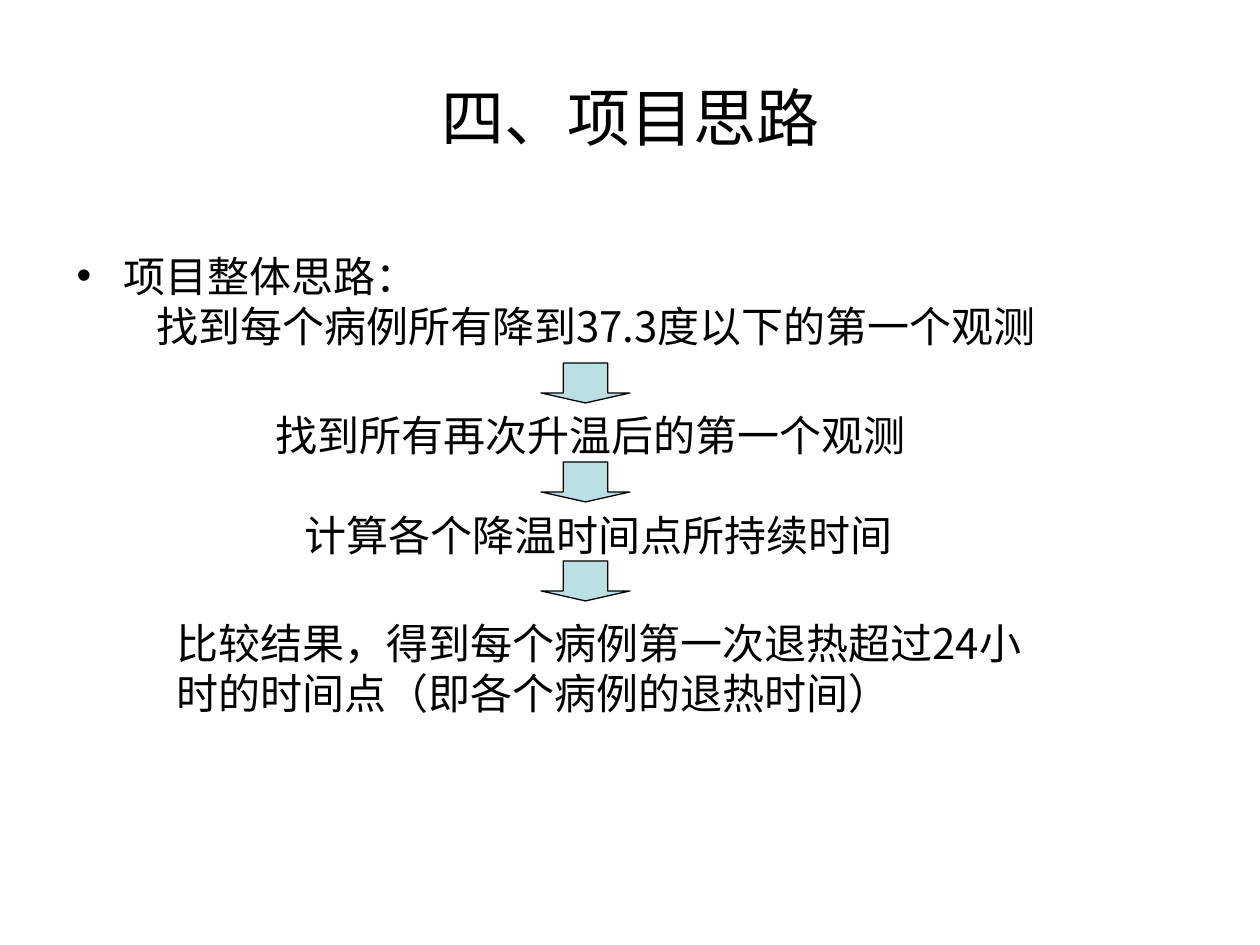
from pptx import Presentation
from pptx.dml.color import RGBColor
from pptx.enum.shapes import MSO_SHAPE
from pptx.enum.text import MSO_ANCHOR, MSO_AUTO_SIZE, PP_ALIGN
from pptx.oxml.ns import qn
from pptx.util import Pt
from lxml import etree

DOWN_ARROW = MSO_SHAPE.DOWN_ARROW
TOP, MIDDLE = MSO_ANCHOR.TOP, MSO_ANCHOR.MIDDLE
LEFT, CENTER = PP_ALIGN.LEFT, PP_ALIGN.CENTER
NO_FIT, GROW = MSO_AUTO_SIZE.NONE, MSO_AUTO_SIZE.SHAPE_TO_FIT_TEXT

BLACK = RGBColor(0x00, 0x00, 0x00)
PALE_TEAL = RGBColor(0xBB, 0xE0, 0xE3)
CJK_FONT = "Noto Sans CJK SC"

TITLE = ("四、项目思路", (63, 38, 1134, 157))
HEADING = ("项目整体思路：", (64, 244, 1133, 620))
STEPS = [
    ("找到每个病例所有降到37.3度以下的第一个观测", (144, 294, 922, 113)),
    ("找到所有再次升温后的第一个观测", (263, 403, 660, 63)),
    ("计算各个降温时间点所持续时间", (292, 503, 615, 63)),
    ("比较结果，得到每个病例第一次退热超过24小时的时间点（即各个病例的退热时间）",
     (164, 611, 873, 113)),
]
ARROW_LEFT, ARROW_TOP, ARROW_W, ARROW_H = 541, 363, 89, 40
ARROW_STEP = 99


def px(n):
    return round(n * 914400 / 126)


def box(bounds):
    return [px(n) for n in bounds]


def place(s, bounds):
    s.left, s.top, s.width, s.height = box(bounds)


def put_text(s, text, size=24, font=CJK_FONT, align=LEFT, anchor=TOP,
             fit=NO_FIT, bullet=None, hanging=0):
    tf = s.text_frame
    tf.word_wrap = True
    tf.auto_size = fit
    tf.vertical_anchor = anchor
    p = tf.paragraphs[0]
    p.alignment = align
    p.space_before = Pt(0)
    if bullet:
        pPr = p._p.get_or_add_pPr()
        pPr.set("marL", str(px(hanging)))
        pPr.set("indent", str(-px(hanging)))
        etree.SubElement(pPr, qn("a:buChar"), char=bullet)
    r = p.add_run()
    r.text = text
    r.font.size = Pt(size)
    r.font.name = font
    r.font.color.rgb = BLACK
    etree.SubElement(r._r.get_or_add_rPr(), qn("a:ea"), typeface=CJK_FONT)


def add_arrow(slide, top):
    s = slide.shapes.add_shape(
        DOWN_ARROW, *box((ARROW_LEFT, top, ARROW_W, ARROW_H)))
    s.adjustments[0], s.adjustments[1] = 0.5, 0.25
    s.shadow.inherit = False
    s.fill.solid()
    s.fill.fore_color.rgb = PALE_TEAL
    s.line.color.rgb = BLACK
    s.line.width = Pt(0.75)


def main():
    prs = Presentation()
    prs.slide_width, prs.slide_height = px(1260), px(945)
    slide = prs.slides.add_slide(prs.slide_layouts[1])
    title, body = slide.placeholders

    text, bounds = TITLE
    place(title, bounds)
    put_text(title, text, size=36, font="Arial", align=CENTER, anchor=MIDDLE)

    text, bounds = HEADING
    place(body, bounds)
    put_text(body, text, bullet="•", hanging=47)

    for i, (text, bounds) in enumerate(STEPS):
        if i:
            add_arrow(slide, ARROW_TOP + (i - 1) * ARROW_STEP)
        put_text(slide.shapes.add_textbox(*box(bounds)), text, fit=GROW)

    prs.save("out.pptx")


if __name__ == "__main__":
    main()
